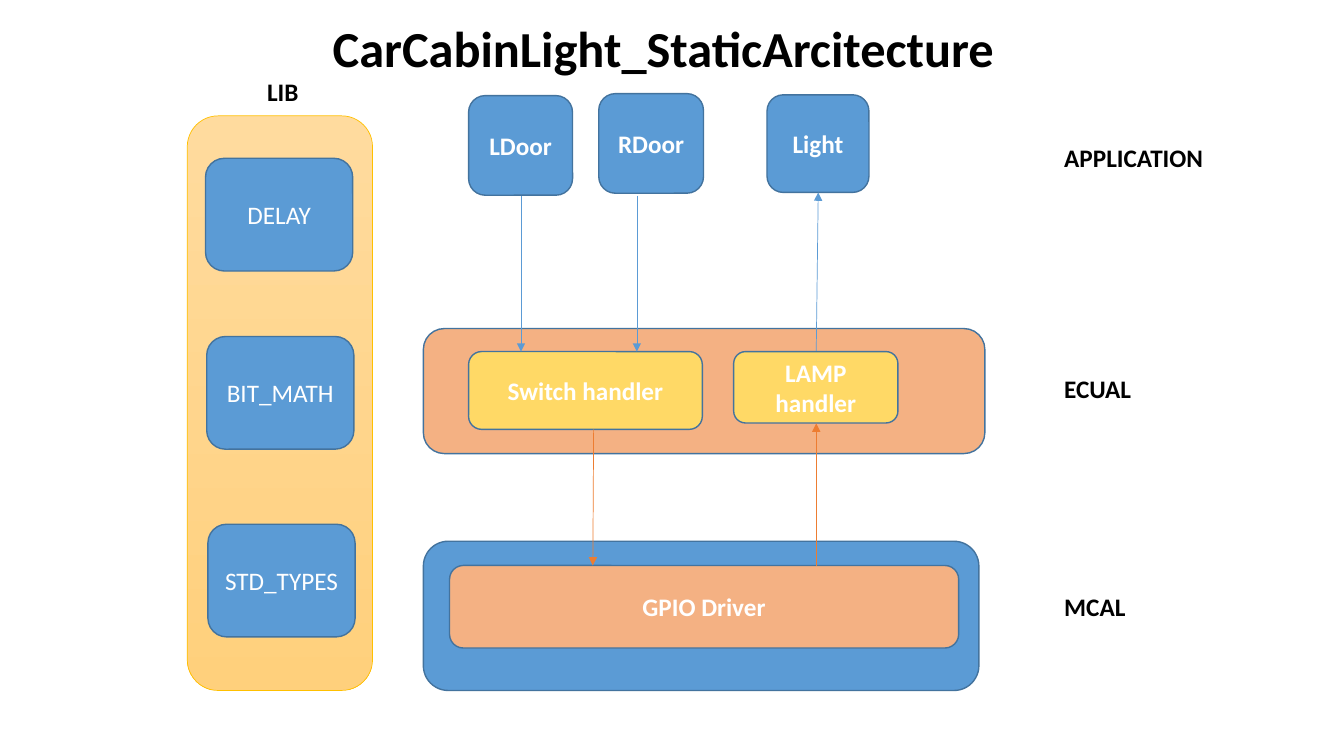
from dataclasses import dataclass

from lxml.etree import SubElement
from pptx import Presentation
from pptx.dml.color import RGBColor
from pptx.enum.shapes import MSO_CONNECTOR as Link, MSO_SHAPE as Kind
from pptx.enum.text import MSO_ANCHOR as Anchor, MSO_AUTO_SIZE as Fit, PP_ALIGN as Align
from pptx.oxml.ns import qn
from pptx.util import Cm, Pt


@dataclass(frozen=True)
class Theme:
    face: str = "Calibri"
    head: int = 36
    body: int = 18
    edge: float = 1
    thin: float = 0.5
    blue: str = "5B9BD5"
    navy: str = "43739E"
    peach: str = "F4B183"
    rust: str = "ED7D31"
    gold: str = "FFD966"
    amber: str = "FFC000"
    sand: tuple = ("FFDB9E", "FFD07C")
    white: str = "FFFFFF"
    black: str = "000000"


THEME = Theme()


def rgb(code):
    return RGBColor.from_string(code)


def put(target, **values):
    for name, value in values.items():
        setattr(target, name, value)


def write(shape, text, size, color, bold=True, align=Align.LEFT, **frame):
    body = shape.text_frame
    body.text = text
    put(body, **frame)
    line = body.paragraphs[0]
    line.alignment = align
    font = line.runs[0].font
    put(font, name=THEME.face, size=Pt(size), bold=bold)
    font.color.rgb = rgb(color)


def add_box(slide, area, fill, text="", kind=Kind.ROUNDED_RECTANGLE, bold=True):
    box = slide.shapes.add_shape(kind, *map(Cm, area))
    box.shadow.inherit = False
    box.fill.solid()
    box.fill.fore_color.rgb = rgb(fill)
    box.line.color.rgb = rgb(THEME.navy)
    box.line.width = Pt(THEME.edge)
    if text:
        write(box, text, THEME.body, THEME.white, bold, Align.CENTER,
              vertical_anchor=Anchor.MIDDLE, word_wrap=True)
    return box


def add_label(slide, area, text):
    label = slide.shapes.add_textbox(*map(Cm, area))
    write(label, text, THEME.body, THEME.black,
          word_wrap=False, auto_size=Fit.SHAPE_TO_FIT_TEXT)


def add_arrow(slide, ends, color):
    arrow = slide.shapes.add_connector(Link.STRAIGHT, *map(Cm, ends))
    arrow.line.color.rgb = rgb(color)
    arrow.line.width = Pt(THEME.thin)
    SubElement(arrow.line._get_or_add_ln(), qn("a:tailEnd"), type="triangle")
    SubElement(arrow._element.spPr, qn("a:effectLst"))


def add_title(slide, text):
    title = slide.shapes.title
    put(title, left=Cm(8.13), top=Cm(0.3), width=Cm(19.25), height=Cm(1.8))
    write(title, text, THEME.head, THEME.black, vertical_anchor=Anchor.TOP,
          word_wrap=False, auto_size=Fit.NONE)


def add_library(slide):
    panel = add_box(slide, (4.72, 2.92, 4.67, 14.48), THEME.amber)
    panel.fill.gradient()
    panel.fill.gradient_angle = 270
    for stop, color in zip(panel.fill.gradient_stops, THEME.sand):
        stop.color.rgb = rgb(color)
    panel.line.color.rgb = rgb(THEME.amber)
    panel.line.width = Pt(THEME.thin)
    add_label(slide, (6.48, 1.8, 1.32, 1.02), "LIB")
    parts = (("DELAY", 3.99), ("BIT_MATH", 8.48), ("STD_TYPES", 13.21))
    for i, (name, top) in enumerate(parts):
        add_box(slide, (5.18 + 0.03 * i, top, 3.71, 2.84), THEME.blue, name, bold=False)


def add_layers(slide):
    for area, fill in (
        ((10.67, 13.64, 14, 3.76), THEME.blue),
        ((10.67, 8.28, 14.15, 3.15), THEME.peach),
    ):
        add_box(slide, area, fill, kind=Kind.FLOWCHART_ALTERNATE_PROCESS)
    for name, area, fill in (
        ("GPIO Driver", (11.33, 14.25, 12.83, 2.08), THEME.peach),
        ("Switch handler", (11.81, 8.86, 5.89, 1.96), THEME.gold),
        ("LAMP handler", (18.49, 8.86, 4.14, 1.8), THEME.gold),
        ("LDoor", (11.81, 2.41, 2.62, 2.51), THEME.blue),
        ("RDoor", (15.09, 2.36, 2.64, 2.51), THEME.blue),
        ("Light", (19.33, 2.39, 2.57, 2.46), THEME.blue),
    ):
        add_box(slide, area, fill, name)
    for name, top, width in (
        ("APPLICATION", 3.45, 4.42), ("ECUAL", 9.27, 3.89), ("MCAL", 14.78, 3.89),
    ):
        add_label(slide, (26.57, top, width, 1.02), name)


def add_flow(slide):
    for ends, color in (
        ((13.13, 4.93, 13.13, 8.86), THEME.blue),
        ((16.05, 4.93, 16.05, 8.86), THEME.blue),
        ((20.57, 8.84, 20.62, 4.85), THEME.blue),
        ((14.96, 10.82, 14.94, 14.25), THEME.rust),
        ((20.57, 14.25, 20.57, 10.67), THEME.rust),
    ):
        add_arrow(slide, ends, color)


def main():
    deck = Presentation()
    put(deck, slide_width=Cm(33.87), slide_height=Cm(19.05))
    slide = deck.slides.add_slide(deck.slide_layouts[5])
    add_title(slide, "CarCabinLight_StaticArcitecture")
    add_layers(slide)
    add_flow(slide)
    add_library(slide)
    deck.save("out.pptx")


if __name__ == "__main__":
    main()
